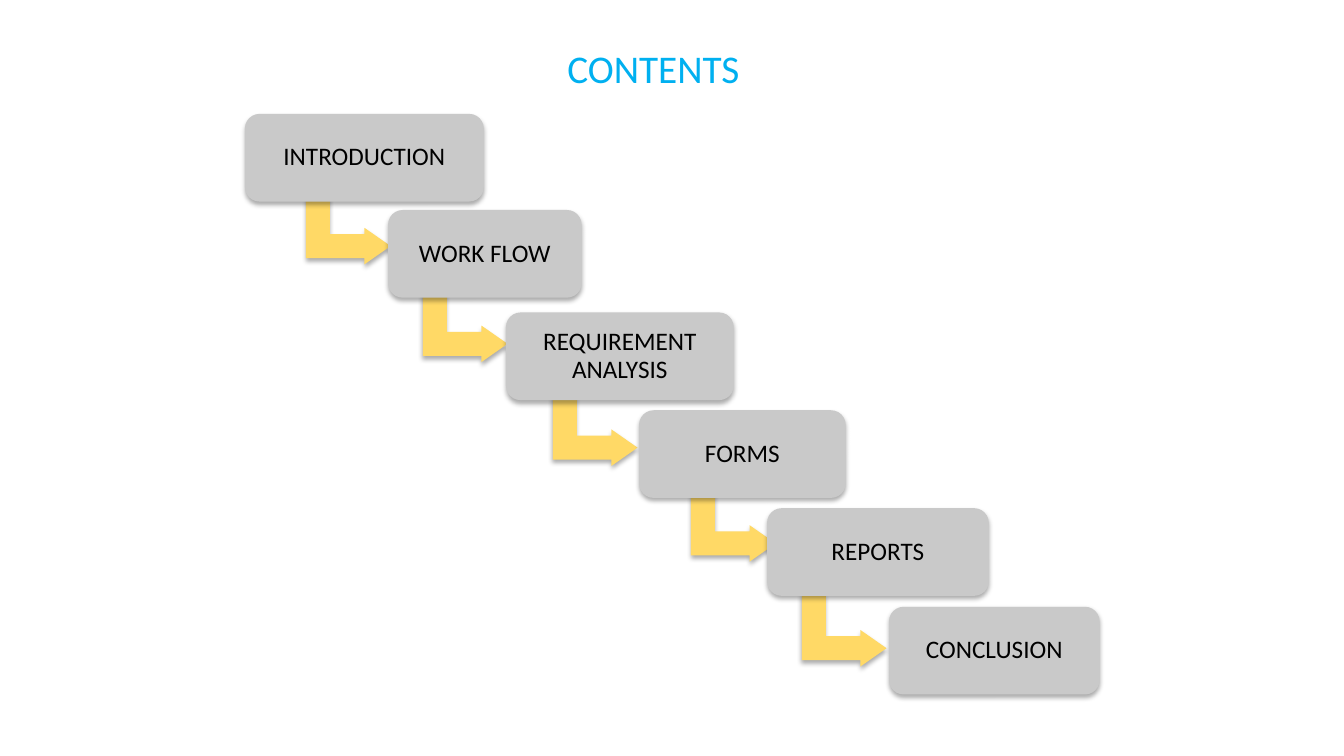
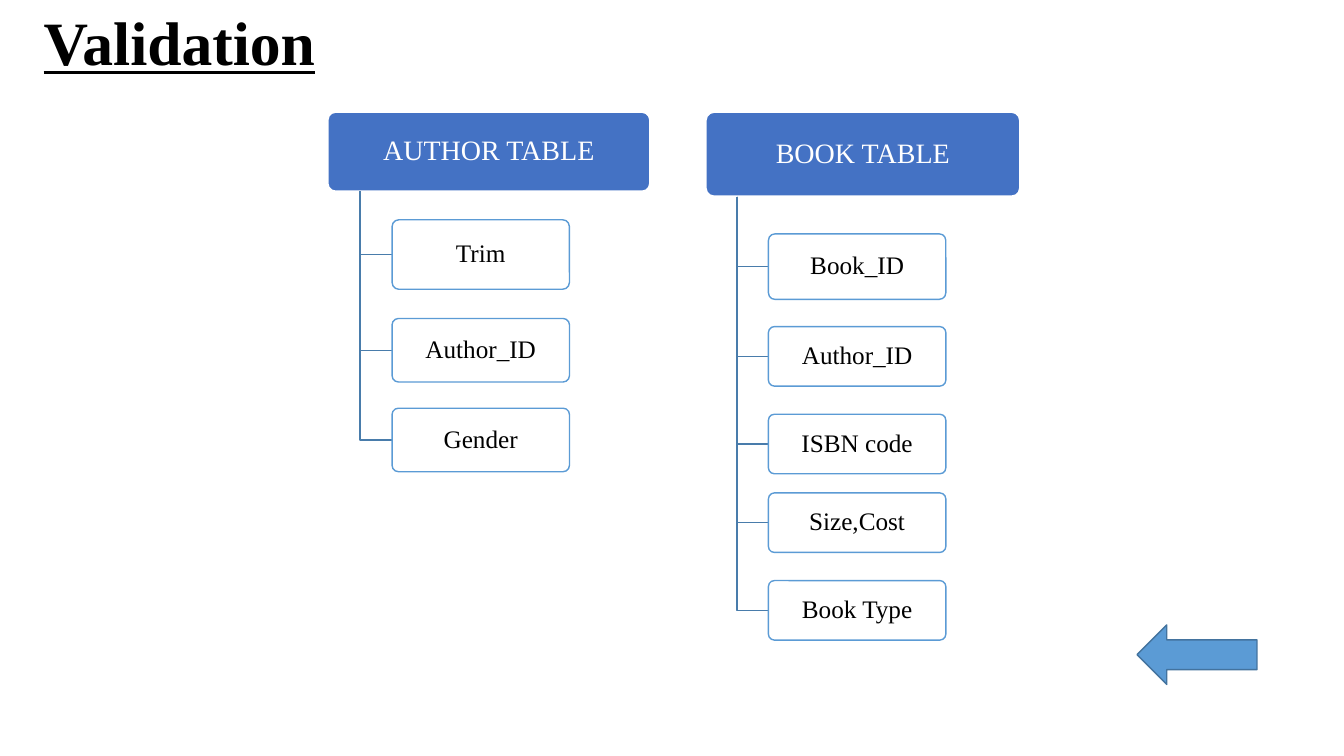
from dataclasses import dataclass

from lxml.etree import SubElement
from pptx import Presentation
from pptx.dml.color import RGBColor
from pptx.enum.shapes import MSO_SHAPE
from pptx.enum.text import MSO_ANCHOR, PP_ALIGN
from pptx.oxml.ns import qn
from pptx.util import Inches, Pt

COLUMNS, ROWS = 160, 90
SLIDE_WIDTH, SLIDE_HEIGHT = Inches(13.333), Inches(7.5)


@dataclass(frozen=True)
class Theme:
    """Colours, fonts and type sizes shared by the slides."""
    black: str = "000000"
    white: str = "FFFFFF"
    heading: str = "00B0F0"
    step: str = "C9C9C9"
    step_arrow: str = "FFD966"
    header: str = "4472C4"
    accent: str = "5B9BD5"
    accent_edge: str = "43739E"
    branch: str = "497CAB"
    sans: str = "Calibri"
    serif: str = "Times New Roman"
    title_size: int = 44
    heading_size: int = 28
    header_size: int = 20
    body_size: int = 18


THEME = Theme()

# Label, left column, top row, width
STEPS = [
    ("INTRODUCTION", 29.16, 13.56, 28.44),
    ("WORK FLOW", 46.2, 25, 23.04),
    ("REQUIREMENT ANALYSIS", 60.24, 37.2, 27.12),
    ("FORMS", 76.08, 48.84, 24.6),
    ("REPORTS", 91.32, 60.5, 26.4),
    ("CONCLUSION", 105.84, 72.24, 25.08),
]
STEP_HEIGHT = 10.44
# Centre column and centre row of the arrow that leaves each step
ARROW_CENTRES = [(41.46, 27.12), (55.38, 38.76), (70.86, 51.12),
                 (87.3, 62.52), (100.5, 75)]
ARROW_WIDTH, ARROW_HEIGHT = 8.7, 10.08

# Header label, header box, then fields as label, top row, height
TREES = [
    ("AUTHOR TABLE", (39, 13.32, 38.4, 9.48),
     [("Trim", 26.16, 8.28), ("Author_ID", 37.92, 7.56), ("Gender", 48.6, 7.56)]),
    ("BOOK TABLE", (84, 13.32, 37.44, 10.08),
     [("Book_ID", 27.84, 7.8), ("Author_ID", 38.88, 7.08), ("ISBN code", 49.32, 7.08),
      ("Size,Cost", 58.68, 7.08), ("Book Type", 69.12, 7.08)]),
]
FIELD_WIDTH = 21.12


def column(count):
    """Turn grid columns into a length."""
    return round(SLIDE_WIDTH * count / COLUMNS)


def row(count):
    """Turn grid rows into a length."""
    return round(SLIDE_HEIGHT * count / ROWS)


def place(box):
    """Turn a grid box (left, top, width, height) into lengths."""
    left, top, width, height = box
    return column(left), row(top), column(width), row(height)


def write(shape, text, font, size, colour, align=PP_ALIGN.CENTER, spacing=0.9,
          bold=None, underline=None):
    """Write one styled paragraph, centred vertically, into a shape."""
    frame = shape.text_frame
    frame.word_wrap = True
    frame.vertical_anchor = MSO_ANCHOR.MIDDLE
    frame.text = text
    paragraph = frame.paragraphs[0]
    paragraph.alignment = align
    paragraph.line_spacing = spacing
    style = paragraph.runs[0].font
    style.name, style.size = font, Pt(size)
    style.bold, style.underline = bold, underline
    style.color.rgb = RGBColor.from_string(colour)


def set_margins(shape, horizontal, vertical):
    """Set the text insets of a shape in inches."""
    frame = shape.text_frame
    frame.margin_left = frame.margin_right = Inches(horizontal)
    frame.margin_top = frame.margin_bottom = Inches(vertical)


def set_line(shape, colour=None, weight=1):
    """Outline a shape, or remove its outline."""
    if colour is None:
        shape.line.fill.background()
    else:
        shape.line.color.rgb = RGBColor.from_string(colour)
        shape.line.width = Pt(weight)


def add_block(slide, kind, box, fill, line=None, weight=1, adjustments=()):
    """Add a flat preset shape on the grid."""
    shape = slide.shapes.add_shape(kind, *place(box))
    shape.shadow.inherit = False
    shape.fill.solid()
    shape.fill.fore_color.rgb = RGBColor.from_string(fill)
    set_line(shape, line, weight)
    for index, value in enumerate(adjustments):
        shape.adjustments[index] = value
    return shape


def add_soft_shadow(shape):
    """Give a shape a soft shadow that falls straight down."""
    effects = shape.element.spPr.find(qn("a:effectLst"))
    shadow = SubElement(effects, qn("a:outerShdw"), blurRad=str(Pt(3.5)),
                        dist=str(Pt(2.2)), dir="5400000", algn="ctr", rotWithShape="0")
    colour = SubElement(shadow, qn("a:srgbClr"), val=THEME.black)
    SubElement(colour, qn("a:alpha"), val="32000")


def add_bevel(shape):
    """Raise the edge of a shape."""
    properties = shape.element.spPr
    scene = SubElement(properties, qn("a:scene3d"))
    SubElement(scene, qn("a:camera"), prst="orthographicFront")
    SubElement(scene, qn("a:lightRig"), rig="threePt", dir="t")
    solid = SubElement(properties, qn("a:sp3d"))
    SubElement(solid, qn("a:bevelT"), w=str(Pt(5)), h=str(Pt(2)))


def set_opacity(shape, percent):
    """Make a solid fill partly transparent."""
    colour = shape.element.spPr.find(qn("a:solidFill")).find(qn("a:srgbClr"))
    SubElement(colour, qn("a:alpha"), val=str(percent * 1000))


def add_step_arrow(slide, centre):
    """Add a bent arrow that leads from one step to the next."""
    box = (centre[0] - ARROW_WIDTH / 2, centre[1] - ARROW_HEIGHT / 2,
           ARROW_WIDTH, ARROW_HEIGHT)
    arrow = add_block(slide, MSO_SHAPE.BENT_UP_ARROW, box, THEME.step_arrow,
                      adjustments=(0.328, 0.25, 0.358))
    arrow.rotation = 90
    add_soft_shadow(arrow)


def add_step(slide, label, left, top, width):
    """Add one raised step of the staircase."""
    step = add_block(slide, MSO_SHAPE.ROUNDED_RECTANGLE,
                     (left, top, width, STEP_HEIGHT), THEME.step, adjustments=(0.167,))
    add_soft_shadow(step)
    add_bevel(step)
    set_margins(step, 0.11, 0.11)
    write(step, label, THEME.sans, THEME.body_size, THEME.black)


def add_branch(slide, stem, top, end, middle):
    """Add an elbow from a header down to the middle of a field."""
    builder = slide.shapes.build_freeform(column(stem), row(top), scale=1.0)
    builder.add_line_segments([(column(stem), row(middle)), (column(end), row(middle))],
                              close=False)
    branch = builder.convert_to_shape()
    branch.shadow.inherit = False
    branch.fill.background()
    set_line(branch, THEME.branch)


def add_tree(slide, label, box, fields):
    """Add a header with its fields hanging from one stem."""
    left, top, width, height = box
    header = add_block(slide, MSO_SHAPE.ROUNDED_RECTANGLE, box, THEME.header,
                       THEME.white, 1.5, (0.1,))
    set_margins(header, 0.06, 0.05)
    write(header, label, THEME.serif, THEME.header_size, THEME.white)
    stem, field_left = left + width * 0.1, left + width * 0.2
    for name, field_top, field_height in fields:
        add_branch(slide, stem, top + height, field_left, field_top + field_height / 2)
        field = add_block(slide, MSO_SHAPE.ROUNDED_RECTANGLE,
                          (field_left, field_top, FIELD_WIDTH, field_height),
                          THEME.white, THEME.accent, adjustments=(0.1,))
        set_opacity(field, 90)
        set_margins(field, 0.06, 0.05)
        write(field, name, THEME.serif, THEME.body_size, THEME.black)


def build_contents(slide):
    """Build the staircase of contents."""
    for index, step in enumerate(STEPS):
        if index < len(ARROW_CENTRES):
            add_step_arrow(slide, ARROW_CENTRES[index])
        add_step(slide, *step)
    heading = slide.shapes.add_textbox(*place((47.28, 4.68, 57.6, 6.84)))
    write(heading, "CONTENTS", THEME.sans, THEME.heading_size, THEME.heading,
          PP_ALIGN.LEFT, 1.0)
    heading.text_frame.margin_left = column(20.28)


def build_validation(slide):
    """Build the validation trees and the back arrow."""
    title = slide.shapes.add_textbox(*place((4, 0.24, 108, 10.44)))
    write(title, "Validation", THEME.serif, THEME.title_size, THEME.black,
          PP_ALIGN.LEFT, bold=True, underline=True)
    for tree in TREES:
        add_tree(slide, *tree)
    back = add_block(slide, MSO_SHAPE.RIGHT_ARROW, (135.36, 74.4, 14.28, 7.08),
                     THEME.accent, THEME.accent_edge)
    back.rotation = 180


def main():
    """Build and save the presentation."""
    presentation = Presentation()
    presentation.slide_width, presentation.slide_height = SLIDE_WIDTH, SLIDE_HEIGHT
    blank = presentation.slide_layouts[6]
    for build in (build_contents, build_validation):
        build(presentation.slides.add_slide(blank))
    presentation.save("out.pptx")


main()
